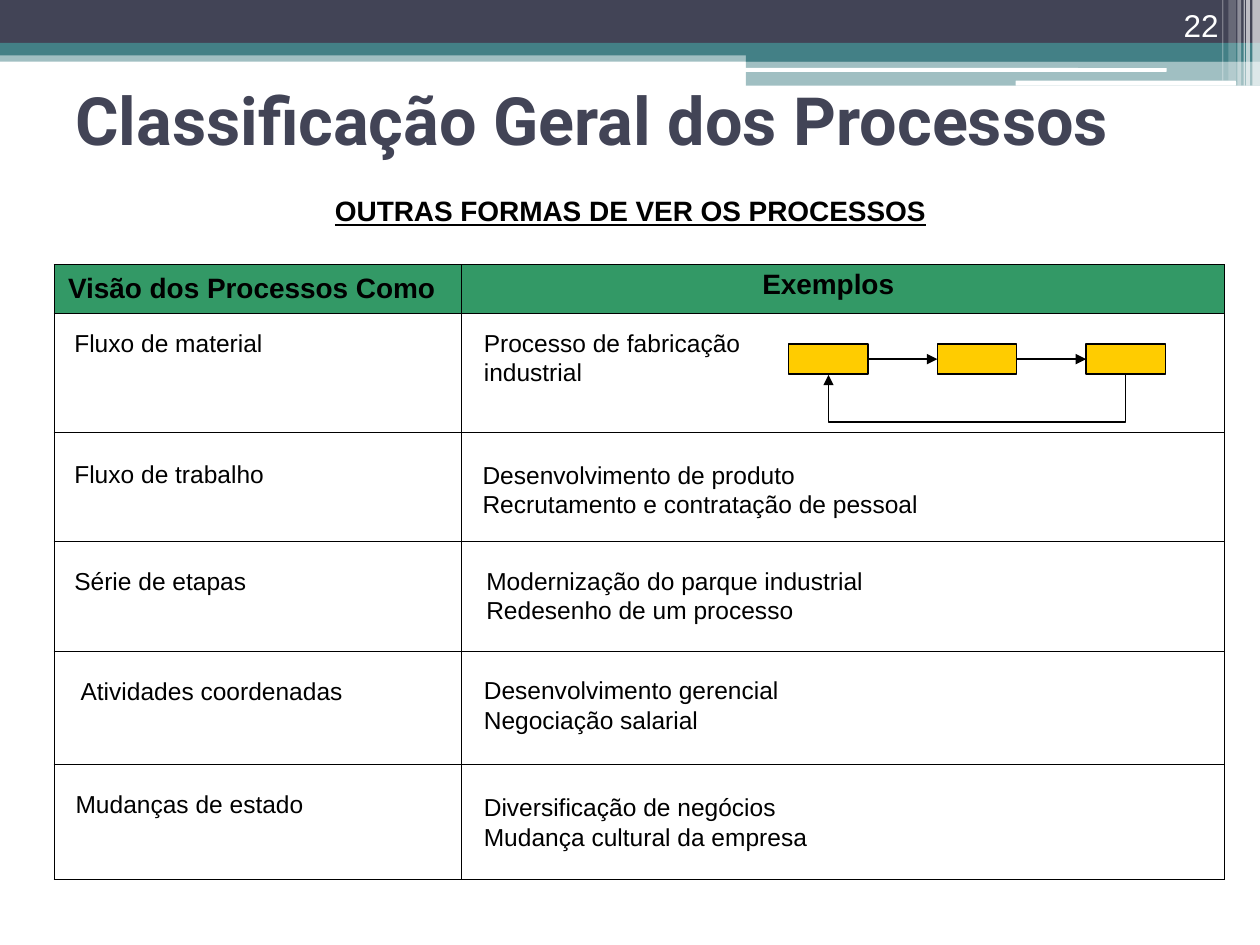
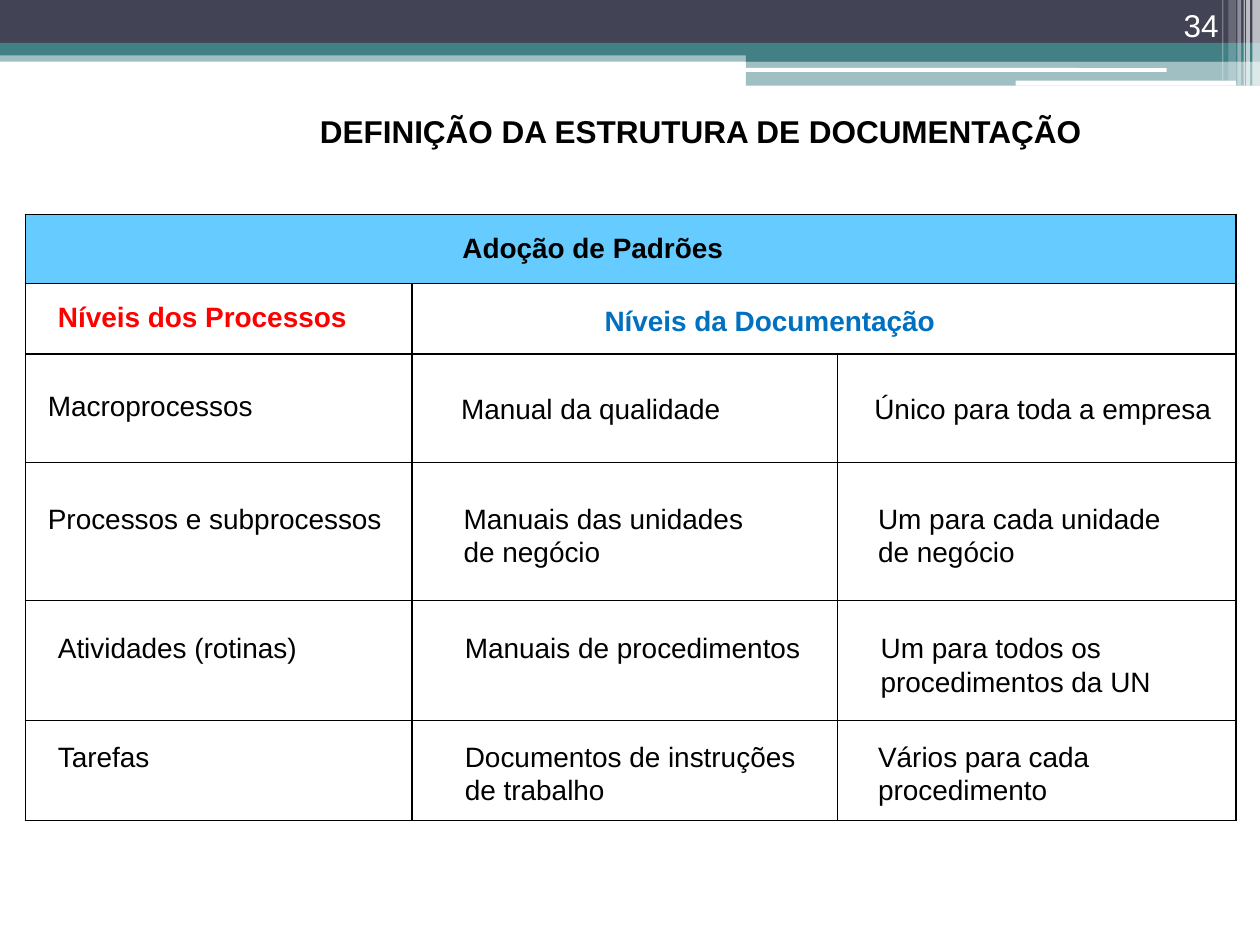
from dataclasses import dataclass
from itertools import pairwise

from lxml.etree import SubElement
from pptx import Presentation
from pptx.dml.color import RGBColor
from pptx.enum.shapes import MSO_CONNECTOR as Connector, MSO_SHAPE as Shape
from pptx.enum.text import MSO_ANCHOR as Anchor, PP_ALIGN as Align
from pptx.oxml.ns import qn
from pptx.util import Inches, Pt

COLORS = {
    "navy": "424456",
    "teal": "438086",
    "white": "FFFFFF",
    "black": "000000",
    "green": "339966",
    "sky": "66CCFF",
    "yellow": "FFCC00",
    "red": "FF0000",
    "blue": "0070C0",
}
FONT = "Arial"
TITLE_FONT = "Roboto"
LINE_WIDTH = Pt(0.75)
INSET_X, INSET_Y = 0.1, 0.05
CELL_LINE_SPACING = 1.08

BANDS = [
    (0, 0.4, 10, 0.09, "teal", 50),
    (0, 0, 10, 0.34, "navy", 100),
    (0, 0.34, 10, 0.1, "teal", 100),
    (5.92, 0.39, 4.08, 0.1, "teal", 100),
    (5.92, 0.48, 4.08, 0.2, "teal", 50),
]
WHITE_RULES = [(5.91, 0.54, 3.35, 0.03), (8.06, 0.64, 1.75, 0.04)]
STRIPES = [
    (9.94, 0.06, 0.68, 65),
    (9.89, 0.03, 0.68, 65),
    (9.87, 0.01, 0.68, 60),
    (9.82, 0.03, 0.68, 40),
    (9.75, 0.06, 0.64, 20),
    (9.7, 0.01, 0.64, 30),
]


@dataclass
class CellText:
    text: str
    left: float
    top: float
    width: float = 0
    size: int = 16
    color: str = "black"
    bold: bool = False
    fill: str = ""
    centered: bool = False


def rgb(name):
    return RGBColor.from_string(COLORS[name])


def write_text(frame, text, size, color="black", bold=False, font=FONT):
    frame.text = text
    for paragraph in frame.paragraphs:
        paragraph.font.name = font
        paragraph.font.size = Pt(size)
        paragraph.font.bold = bold
        paragraph.font.color.rgb = rgb(color)


def add_text(slide, text, box, size, wrap=False, anchor=Anchor.TOP, **style):
    frame = slide.shapes.add_textbox(*map(Inches, box)).text_frame
    frame.word_wrap = wrap
    frame.vertical_anchor = anchor
    write_text(frame, text, size, **style)
    return frame.paragraphs[0]


def add_box(slide, box, color, kind=Shape.RECTANGLE, opacity=100, outlined=False):
    shape = slide.shapes.add_shape(kind, *map(Inches, box))
    shape.shadow.inherit = False
    shape.fill.solid()
    shape.fill.fore_color.rgb = rgb(color)
    if opacity < 100:
        fill_color = shape.fill._xPr.find(qn("a:solidFill"))[0]
        SubElement(fill_color, qn("a:alpha"), val=str(opacity * 1000))
    if outlined:
        shape.line.color.rgb = rgb("black")
        shape.line.width = LINE_WIDTH
    else:
        shape.line.fill.background()
    return shape


def add_arrow(slide, kind, start, end):
    arrow = slide.shapes.add_connector(kind, *map(Inches, (*start, *end)))
    arrow.line.color.rgb = rgb("black")
    arrow.line.width = LINE_WIDTH
    SubElement(arrow.line._get_or_add_ln(), qn("a:tailEnd"), type="triangle")
    SubElement(arrow._element.spPr, qn("a:effectLst"))
    return arrow


def add_return_arrow(slide, left, right, top, drop):
    thickness = 0.01
    middle, span = (left + right) / 2, right - left
    x, y = middle - thickness / 2, top - span / 2
    arrow = add_arrow(slide, Connector.ELBOW, (x, y), (x + thickness, y + span))
    properties = arrow._element.spPr
    properties.find(qn("a:xfrm")).set("rot", "5400000")
    adjustments = properties.find(qn("a:prstGeom")).find(qn("a:avLst"))
    ratio = round(drop / thickness * 100000)
    SubElement(adjustments, qn("a:gd"), name="adj1", fmla=f"val {ratio}")


def add_borders(cell):
    properties = cell._tc.get_or_add_tcPr()
    for side in ("lnL", "lnR", "lnT", "lnB"):
        line = SubElement(properties, qn(f"a:{side}"), w=str(LINE_WIDTH))
        fill = SubElement(line, qn("a:solidFill"))
        SubElement(fill, qn("a:srgbClr"), val=COLORS["black"])


def fill_cell(cell, content, left, top, right):
    margin_left = content.left + INSET_X - left
    text_right = content.left + content.width - INSET_X if content.width else right
    margin_right = right - text_right
    if content.centered:
        margin_left, margin_right = 0, margin_right - margin_left
    cell.margin_left = Inches(margin_left)
    cell.margin_right = Inches(margin_right)
    cell.margin_top = Inches(content.top + INSET_Y - top)
    cell.margin_bottom = 0
    write_text(cell.text_frame, content.text, content.size, content.color, content.bold)
    for paragraph in cell.text_frame.paragraphs:
        paragraph.line_spacing = CELL_LINE_SPACING
        paragraph.alignment = Align.CENTER if content.centered else Align.LEFT
    if content.fill:
        cell.fill.solid()
        cell.fill.fore_color.rgb = rgb(content.fill)


def add_grid(slide, x_edges, y_edges, rows):
    columns = len(x_edges) - 1
    box = (x_edges[0], y_edges[0], x_edges[-1] - x_edges[0], y_edges[-1] - y_edges[0])
    table = slide.shapes.add_table(len(rows), columns, *map(Inches, box)).table
    table.first_row = table.horz_banding = False
    for column, (left, right) in zip(table.columns, pairwise(x_edges)):
        column.width = Inches(right - left)
    for row, (top, bottom) in zip(table.rows, pairwise(y_edges)):
        row.height = Inches(bottom - top)
    for cell in table.iter_cells():
        add_borders(cell)
        cell.fill.background()
    for i, contents in enumerate(rows):
        last = len(contents) - 1
        if last < columns - 1:
            table.cell(i, last).merge(table.cell(i, columns - 1))
        for j, content in enumerate(contents):
            right = x_edges[-1] if j == last else x_edges[j + 1]
            fill_cell(table.cell(i, j), content, x_edges[j], y_edges[i], right)


def add_base_slide(presentation, number):
    slide = presentation.slides.add_slide(presentation.slide_layouts[6])
    for *box, color, opacity in BANDS:
        add_box(slide, box, color, opacity=opacity)
    for box in WHITE_RULES:
        add_box(slide, box, "white", Shape.ROUNDED_RECTANGLE)
    for left, width, height, opacity in STRIPES:
        add_box(slide, (left, 0, width, height), "white", opacity=opacity)
    paragraph = add_text(slide, number, (8.94, 0, 0.83, 0.4), 18, wrap=True,
                         anchor=Anchor.BOTTOM, color="white")
    paragraph.alignment = Align.RIGHT
    return slide


def add_material_flow(slide):
    left, top, width, height, step = 6.26, 2.73, 0.63, 0.24, 1.18
    stages = [add_box(slide, (left + step * i, top, width, height), "yellow", outlined=True)
              for i in range(3)]
    for source, target in pairwise(stages):
        arrow = add_arrow(slide, Connector.STRAIGHT, (0, 0), (0, 0))
        arrow.begin_connect(source, 3)
        arrow.end_connect(target, 1)
    center = left + width / 2
    add_return_arrow(slide, center, center + 2 * step, top + height, 0.39)


def build_process_views(presentation):
    slide = add_base_slide(presentation, "22")
    add_text(slide, "Classificação Geral dos Processos", (0.5, 0.5, 9, 0.89), 38, wrap=True,
             anchor=Anchor.MIDDLE, color="navy", bold=True, font=TITLE_FONT)
    heading = add_text(slide, "OUTRAS FORMAS DE VER OS PROCESSOS",
                       (2.56, 1.49, 4.89, 0.37), 16, bold=True)
    heading.font.underline = True
    header = {"bold": True, "fill": "green"}
    body = {"size": 14}
    rows = [
        [CellText("Visão dos Processos Como", 0.44, 2.1, **header),
         CellText("Exemplos", 5.95, 2.07, **header)],
        [CellText("Fluxo de material", 0.49, 2.55, **body),
         CellText("Processo de fabricação industrial", 3.74, 2.55, 2.45, **body)],
        [CellText("Fluxo de trabalho", 0.49, 3.59, **body),
         CellText("Desenvolvimento de produto\nRecrutamento e contratação de pessoal",
                  3.73, 3.6, **body)],
        [CellText("Série de etapas", 0.49, 4.44, **body),
         CellText("Modernização do parque industrial\nRedesenho de um processo",
                  3.76, 4.44, **body)],
        [CellText("Atividades coordenadas", 0.54, 5.32, **body),
         CellText("Desenvolvimento gerencial\nNegociação salarial", 3.74, 5.31, **body)],
        [CellText("Mudanças de estado", 0.5, 6.21, **body),
         CellText("Diversificação de negócios\nMudança cultural da empresa",
                  3.74, 6.24, **body)],
    ]
    add_grid(slide, [0.43, 3.66, 9.72], [2.1, 2.49, 3.43, 4.3, 5.17, 6.07, 6.98], rows)
    add_material_flow(slide)


def build_documentation_structure(presentation):
    slide = add_base_slide(presentation, "34")
    add_text(slide, "DEFINIÇÃO DA ESTRUTURA DE DOCUMENTAÇÃO",
             (2.44, 0.84, 6.28, 0.4), 18, bold=True)
    rows = [
        [CellText("Adoção de Padrões", 3.57, 1.78, 2.27, bold=True, fill="sky",
                  centered=True)],
        [CellText("Níveis dos Processos", 0.36, 2.33, color="red", bold=True),
         CellText("Níveis da Documentação", 4.7, 2.36, 2.82, color="blue", bold=True,
                  centered=True)],
        [CellText("Macroprocessos", 0.28, 3.04),
         CellText("Manual da qualidade", 3.56, 3.06),
         CellText("Único para toda a empresa", 6.84, 3.06)],
        [CellText("Processos e subprocessos", 0.28, 3.93),
         CellText("Manuais das unidades de negócio", 3.58, 3.93, 2.68),
         CellText("Um para cada unidade de negócio", 6.87, 3.93, 2.62)],
        [CellText("Atividades (rotinas)", 0.36, 4.96),
         CellText("Manuais de procedimentos", 3.59, 4.96),
         CellText("Um para todos os procedimentos da UN", 6.89, 4.96, 2.84)],
        [CellText("Tarefas", 0.36, 5.82),
         CellText("Documentos de instruções de trabalho", 3.59, 5.82, 2.98),
         CellText("Vários para cada procedimento", 6.87, 5.82, 2.62)],
    ]
    add_grid(slide, [0.2, 3.27, 6.65, 9.81], [1.7, 2.25, 2.81, 3.67, 4.77, 5.72, 6.51], rows)


def main():
    presentation = Presentation()
    presentation.slide_width = Inches(10)
    presentation.slide_height = Inches(7.5)
    build_process_views(presentation)
    build_documentation_structure(presentation)
    presentation.save("out.pptx")


if __name__ == "__main__":
    main()
